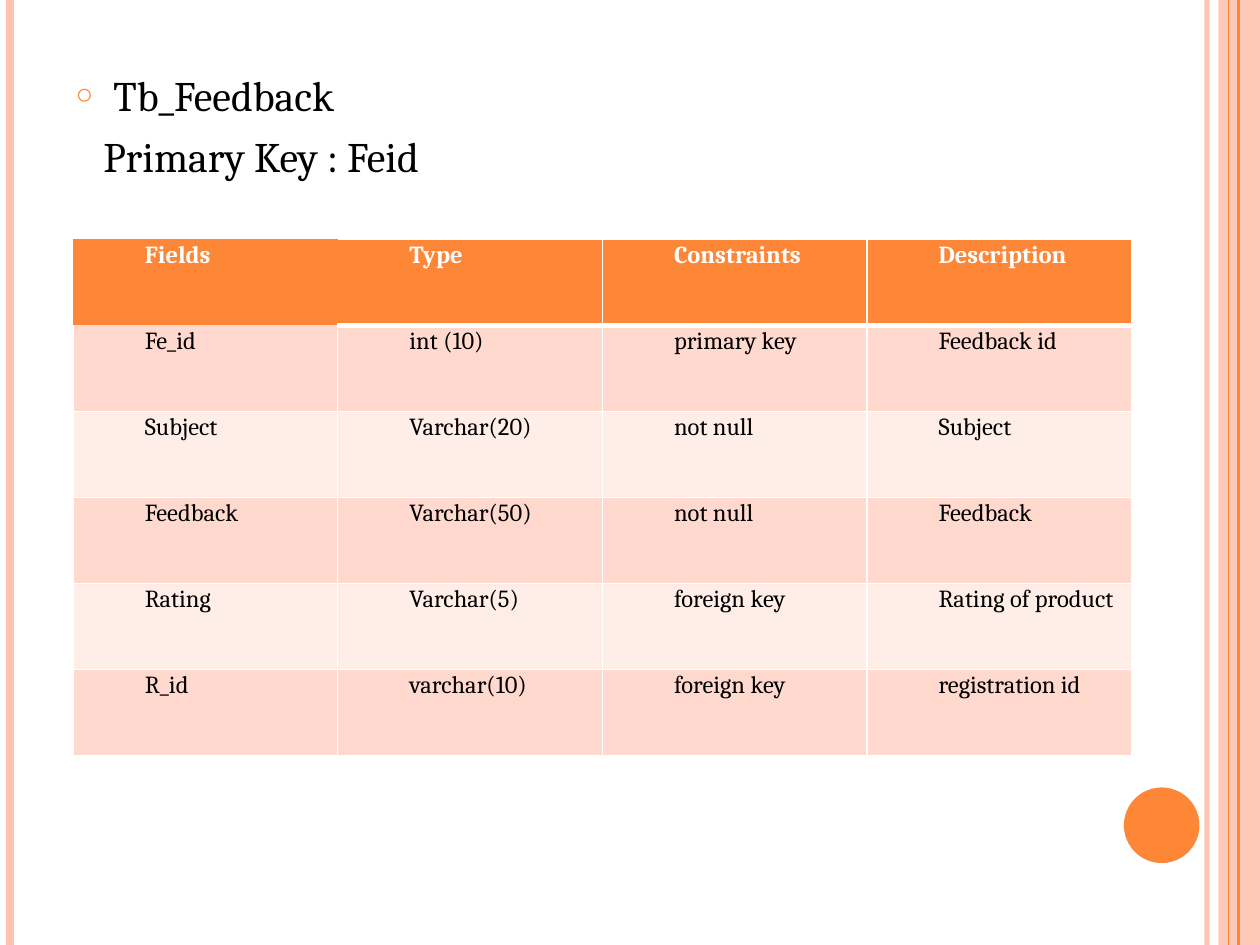
"""Build a slide that describes the fields of the feedback table."""
from lxml import etree
from pptx import Presentation
from pptx.dml.color import RGBColor
from pptx.enum.shapes import MSO_CONNECTOR, MSO_SHAPE
from pptx.enum.text import MSO_AUTO_SIZE
from pptx.oxml.ns import qn
from pptx.util import Inches, Pt

STRAIGHT = MSO_CONNECTOR.STRAIGHT
RECT, OVAL = MSO_SHAPE.RECTANGLE, MSO_SHAPE.OVAL
NO_FIT = MSO_AUTO_SIZE.NONE
COLORS = {"accent": "FE8637", "edge": "FEC3AE", "odd": "FFD9CE",
          "even": "FFEDE8", "white": "FFFFFF", "black": "000000"}
ROWS = [
    ("Fields", "Type", "Constraints", "Description"),
    ("Fe_id", "int (10)", "primary key", "Feedback id"),
    ("Subject", "Varchar(20)", "not null", "Subject"),
    ("Feedback", "Varchar(50)", "not null", "Feedback"),
    ("Rating", "Varchar(5)", "foreign key", "Rating of product"),
    ("R_id", "varchar(10)", "foreign key", "registration id"),
]


def add(parent, tag, **attrs):
    el = etree.SubElement(parent, qn(tag))
    for name, value in attrs.items():
        el.set(name, str(value))
    return el


def write(p, text, size=14, color="black", bold=False, left=0.0, first=0.0,
          before=0, after=0, spacing=1.0):
    pPr = p._p.get_or_add_pPr()
    pPr.set("marL", str(Inches(left)))
    pPr.set("indent", str(Inches(first)))
    p.line_spacing = spacing
    p.space_before, p.space_after = Pt(before), Pt(after)
    r = p.add_run()
    r.text = text
    r.font.name, r.font.size, r.font.bold = "Cambria", Pt(size), bold
    r.font.color.rgb = RGBColor.from_string(COLORS[color])
    return pPr


prs = Presentation()
prs.slide_width, prs.slide_height = Inches(10), Inches(7.5)
W, H = prs.slide_width, prs.slide_height
s = prs.slides.add_slide(prs.slide_layouts[1])
title = s.shapes.title
title._element.getparent().remove(title._element)
body = s.placeholders[1]

SIDE_LINES = [(0.958, "edge", 3, 93), (0.008, "edge", 4.5, 100),
              (0.983, "accent", 1.5, 100), (0.975, "accent", 0.75, 100)]
BLOCKS = [(RECT, 0.967, 0, 0.033, 1, "edge", 87),
          (OVAL, 0.892, 6.25 / 7.5, 0.06, 0.08, "accent", 100)]

for kind, x, y, w, h, color, alpha in BLOCKS:
    sp = s.shapes.add_shape(kind, int(W * x), int(H * y), int(W * w), int(H * h))
    sp.shadow.inherit = False
    sp.fill.solid()
    sp.fill.fore_color.rgb = RGBColor.from_string(COLORS[color])
    sp.line.fill.background()
    if alpha < 100:
        add(sp._element.spPr.find(".//" + qn("a:srgbClr")), "a:alpha", val=alpha * 1000)

for x, color, width, alpha in SIDE_LINES:
    ln = s.shapes.add_connector(STRAIGHT, int(W * x), 0, int(W * x), H)
    ln.line.width = Pt(width)
    ln.line.color.rgb = RGBColor.from_string(COLORS[color])
    if alpha < 100:
        add(ln._element.spPr.find(".//" + qn("a:srgbClr")), "a:alpha", val=alpha * 1000)
    add(ln._element.spPr, "a:effectLst")

body.left, body.top = int(W * 0.05), Inches(0.5)
body.width, body.height = int(W * 0.817), Inches(1.42)
tf = body.text_frame
tf.word_wrap, tf.auto_size = True, NO_FIT
pPr = write(tf.paragraphs[0], "Tb_Feedback", size=24, left=0.3, first=-0.3, before=6)
add(add(pPr, "a:buClr"), "a:srgbClr", val=COLORS["accent"])
add(pPr, "a:buSzPct", val=70000)
add(pPr, "a:buChar", char="○")
pPr = write(tf.add_paragraph(), "Primary Key : Feid", size=24, left=0.22, before=6)
add(pPr, "a:buNone")

COL_W, ROW_H = Inches(2.1), Inches(0.683)
n_rows, n_cols = len(ROWS), len(ROWS[0])
table = s.shapes.add_table(n_rows, n_cols, Inches(0.58), Inches(1.9),
                           COL_W * n_cols, ROW_H * n_rows).table
for col in table.columns:
    col.width = COL_W
for row in table.rows:
    row.height = ROW_H

for i, row in enumerate(ROWS):
    fill = "accent" if i == 0 else "odd" if i % 2 else "even"
    for j, text in enumerate(row):
        cell = table.cell(i, j)
        cell.margin_left = cell.margin_right = Inches(0.07)
        cell.margin_top = cell.margin_bottom = 0
        tcPr = cell._tc.get_or_add_tcPr()
        corner = (i, j) == (0, 0)
        borders = {"L": 0 if corner or (i, j) == (0, 1) else 1,
                   "R": 0 if corner else 1,
                   "T": 0 if corner or (i, j) == (1, 0) else 3 if i == 1 else 1,
                   "B": 0 if corner else 3 if i == 0 else 1}
        for side, width in borders.items():
            ln = add(tcPr, "a:ln" + side, w=Pt(width))
            if width:
                add(add(ln, "a:solidFill"), "a:srgbClr", val=COLORS["white"])
            else:
                add(ln, "a:noFill")
        cell.fill.solid()
        cell.fill.fore_color.rgb = RGBColor.from_string(COLORS[fill])
        write(cell.text_frame.paragraphs[0], text, left=0.5, spacing=1.07,
              color="white" if i == 0 else "black", bold=i == 0,
              after=8 if j == n_cols - 1 else 0)

prs.save("out.pptx")
